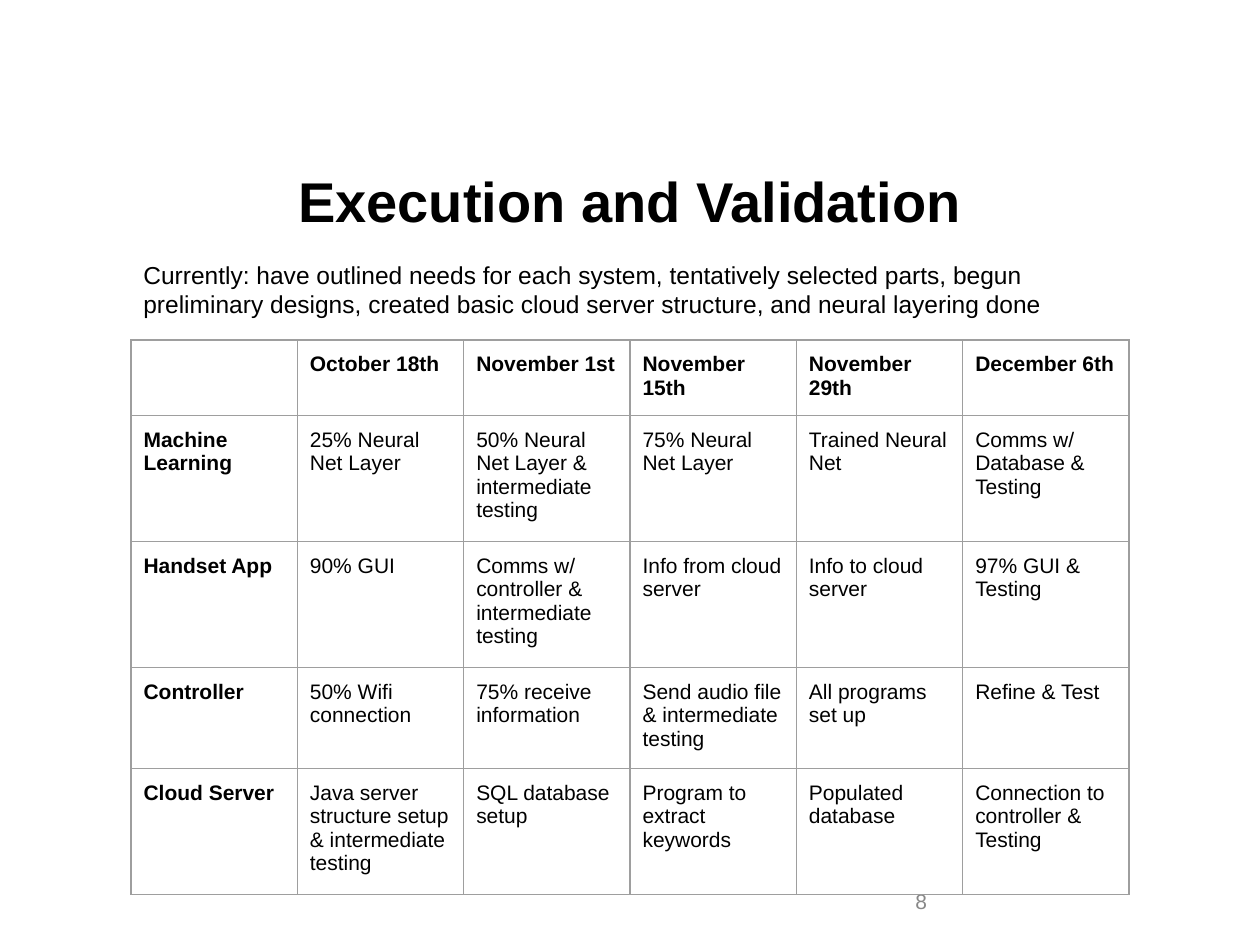
import pptx
import pptx.util
import pptx.dml.color
import pptx.enum.text
import pptx.oxml
import pptx.oxml.ns

TITLE = "Execution and Validation"
STATUS = ("Currently: have outlined needs for each system, tentatively selected parts, "
          "begun preliminary designs, created basic cloud server structure, "
          "and neural layering done")
PAGE_NUMBER = "8"
SCHEDULE = [
    ["", "October 18th", "November 1st", "November 15th", "November 29th", "December 6th"],
    ["Machine Learning", "25% Neural Net Layer", "50% Neural Net Layer & intermediate testing",
     "75% Neural Net Layer", "Trained Neural Net", "Comms w/ Database & Testing"],
    ["Handset App", "90% GUI", "Comms w/ controller & intermediate testing",
     "Info from cloud server", "Info to cloud server", "97% GUI & Testing"],
    ["Controller", "50% Wifi connection", "75% receive information",
     "Send audio file & intermediate testing", "All programs set up", "Refine & Test"],
    ["Cloud Server", "Java server structure setup & intermediate testing", "SQL database setup",
     "Program to extract keywords", "Populated database", "Connection to controller & Testing"],
]
ROW_HEIGHTS = [72, 119, 119, 95, 119]
LEFT, TABLE_TOP, TABLE_WIDTH = 131, 340, 998

BLACK = pptx.dml.color.RGBColor(0x00, 0x00, 0x00)
GRAY = pptx.dml.color.RGBColor(0x88, 0x88, 0x88)
BORDER = pptx.dml.color.RGBColor(0x9E, 0x9E, 0x9E)
MIDDLE = pptx.enum.text.MSO_ANCHOR.MIDDLE
TOP = pptx.enum.text.MSO_ANCHOR.TOP
CENTER = pptx.enum.text.PP_ALIGN.CENTER
LEFT_ALIGN = pptx.enum.text.PP_ALIGN.LEFT


def px(length):
    return round(length * 914400 / 126)


INSET = px(126) // 10


def style(frame, size, color=BLACK, bold=False, align=LEFT_ALIGN):
    for para in frame.paragraphs:
        para.alignment = align
        para.font.size = pptx.util.Pt(size)
        for span in para.runs:
            span.font.name = "Arial"
            span.font.size = pptx.util.Pt(size)
            span.font.bold = bold
            span.font.color.rgb = color


def add_text(page, text, place, size, anchor=TOP, inset=INSET, **look):
    frame = page.shapes.add_textbox(*map(px, place)).text_frame
    frame.word_wrap = True
    frame.vertical_anchor = anchor
    frame.margin_top = frame.margin_bottom = inset
    frame.text = text
    style(frame, size, **look)


def add_borders(cell):
    properties = cell._tc.get_or_add_tcPr()
    for side in "LRTB":
        properties.append(pptx.oxml.parse_xml(
            f'<a:ln{side} {pptx.oxml.ns.nsdecls("a")} w="{pptx.util.Pt(0.75)}">'
            f'<a:solidFill><a:srgbClr val="{BORDER}"/></a:solidFill></a:ln{side}>'))


def add_schedule(page):
    columns = len(SCHEDULE[0])
    table = page.shapes.add_table(
        len(SCHEDULE), columns, px(LEFT), px(TABLE_TOP),
        px(TABLE_WIDTH), px(sum(ROW_HEIGHTS))).table
    table.first_row = table.horz_banding = False
    for column in table.columns:
        column.width = px(TABLE_WIDTH / columns)
    for row, height in zip(table.rows, ROW_HEIGHTS):
        row.height = px(height)
    for row_index, entries in enumerate(SCHEDULE):
        for column_index, entry in enumerate(entries):
            cell = table.cell(row_index, column_index)
            cell.text = entry
            cell.margin_top = cell.margin_bottom = INSET
            add_borders(cell)
            cell.fill.background()
            style(cell.text_frame, 12, bold=row_index == 0 or column_index == 0)


def main():
    deck = pptx.Presentation()
    deck.slide_width, deck.slide_height = px(1260), px(945)
    page = deck.slides.add_slide(deck.slide_layouts[6])
    add_text(page, TITLE, (63, 145, 1134, 111), 32, MIDDLE, bold=True, align=CENTER)
    add_text(page, PAGE_NUMBER, (903, 876, 294, 50), 12, MIDDLE, INSET // 2, color=GRAY)
    add_schedule(page)
    add_text(page, STATUS, (LEFT, 247, TABLE_WIDTH, 127), 14)
    deck.save("out.pptx")


if __name__ == "__main__":
    main()
